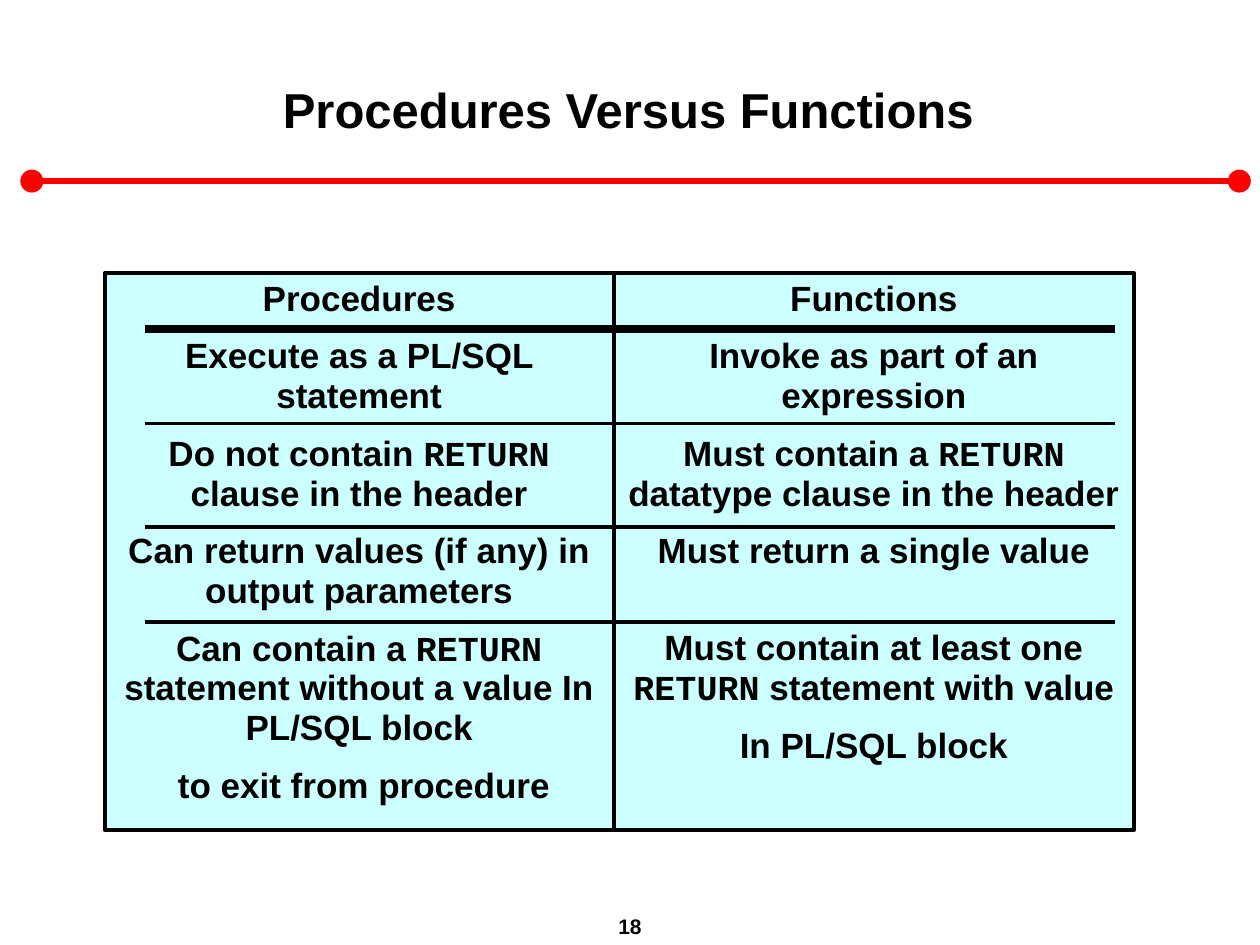
"""Build a slide that compares procedures with functions in two columns."""
from pptx import Presentation
from pptx.dml.color import RGBColor
from pptx.enum import shapes as sh, text as tx
from pptx.oxml.ns import qn
from pptx.util import Pt
from lxml import etree


def rgb(code):
    return RGBColor.from_string(code)


def rule(x1, x2, y, color, width):
    line = slide.shapes.add_connector(
        sh.MSO_CONNECTOR.STRAIGHT, Pt(x1), Pt(y), Pt(x2), Pt(y))
    line.line.color.rgb = rgb(color)
    line.line.width = Pt(width)
    etree.SubElement(line._element.spPr, qn("a:effectLst"))


RED, BLACK, CYAN = "FF0000", "000000", "CCFFFF"
CODE = "RETURN"

prs = Presentation()
prs.slide_width, prs.slide_height = Pt(720), Pt(540)
slide = prs.slides.add_slide(prs.slide_layouts[6])

rule(702, 24, 103.5, RED, 3)
for left in (12, 702):
    dot = slide.shapes.add_shape(
        sh.MSO_SHAPE.OVAL, Pt(left), Pt(97.3), Pt(12.4), Pt(12.4))
    dot.shadow.inherit = False
    dot.fill.solid()
    dot.fill.fore_color.rgb = rgb(RED)
    dot.line.color.rgb = rgb(RED)
    dot.line.width = Pt(0.75)

labels = [
    ("Procedures Versus Functions", 67.5, 41.8, 583, 69, 28),
    ("18", 0, 518.4, 720, 21.6, 12),
]
for words, left, top, width, height, size in labels:
    box = slide.shapes.add_textbox(Pt(left), Pt(top), Pt(width), Pt(height))
    box.text_frame.word_wrap = True
    box.text_frame.text = words
    para = box.text_frame.paragraphs[0]
    para.alignment = tx.PP_ALIGN.CENTER
    font = para.runs[0].font
    font.name, font.size, font.bold = "Arial", Pt(size), True
    font.color.rgb = rgb(BLACK)

columns = [
    (59.8, 290.9, [
        "Procedures",
        "Execute as a PL/SQL statement",
        "Do not contain RETURN clause in the header",
        "Can return values (if any) in output parameters",
        "Can contain a RETURN statement without a value In PL/SQL block",
        " to exit from procedure",
    ]),
    (350.7, 297.4, [
        "Functions",
        "Invoke as part of an expression",
        "Must contain a RETURN datatype clause in the header",
        "Must return a single value",
        "Must contain at least one RETURN statement with value",
        "In PL/SQL block",
    ]),
]
for left, width, rows in columns:
    box = slide.shapes.add_shape(
        sh.MSO_SHAPE.RECTANGLE, Pt(left), Pt(156.2), Pt(width), Pt(318))
    box.shadow.inherit = False
    box.fill.solid()
    box.fill.fore_color.rgb = rgb(CYAN)
    box.line.color.rgb = rgb(BLACK)
    box.line.width = Pt(2.25)
    frame = box.text_frame
    frame.word_wrap = True
    frame.vertical_anchor = tx.MSO_ANCHOR.TOP
    for i, row in enumerate(rows):
        para = frame.paragraphs[0] if i == 0 else frame.add_paragraph()
        para.alignment = tx.PP_ALIGN.CENTER
        para.line_spacing = 0.95
        para.space_before = Pt(10)
        if row == "Must return a single value":
            para.space_after = Pt(22.8)
        head, code, tail = row.partition(CODE)
        for part in filter(None, (head, code, tail)):
            run = para.add_run()
            run.text = part
            font = run.font
            font.name = "Courier New" if part == CODE else "Arial"
            font.size, font.bold = Pt(20), True
            font.color.rgb = rgb(BLACK)

for y, width in ((188, 4.5), (242, 2.25), (301, 2.25), (355.6, 2.25)):
    rule(82.8, 637.2, y, BLACK, width)

prs.save("out.pptx")
